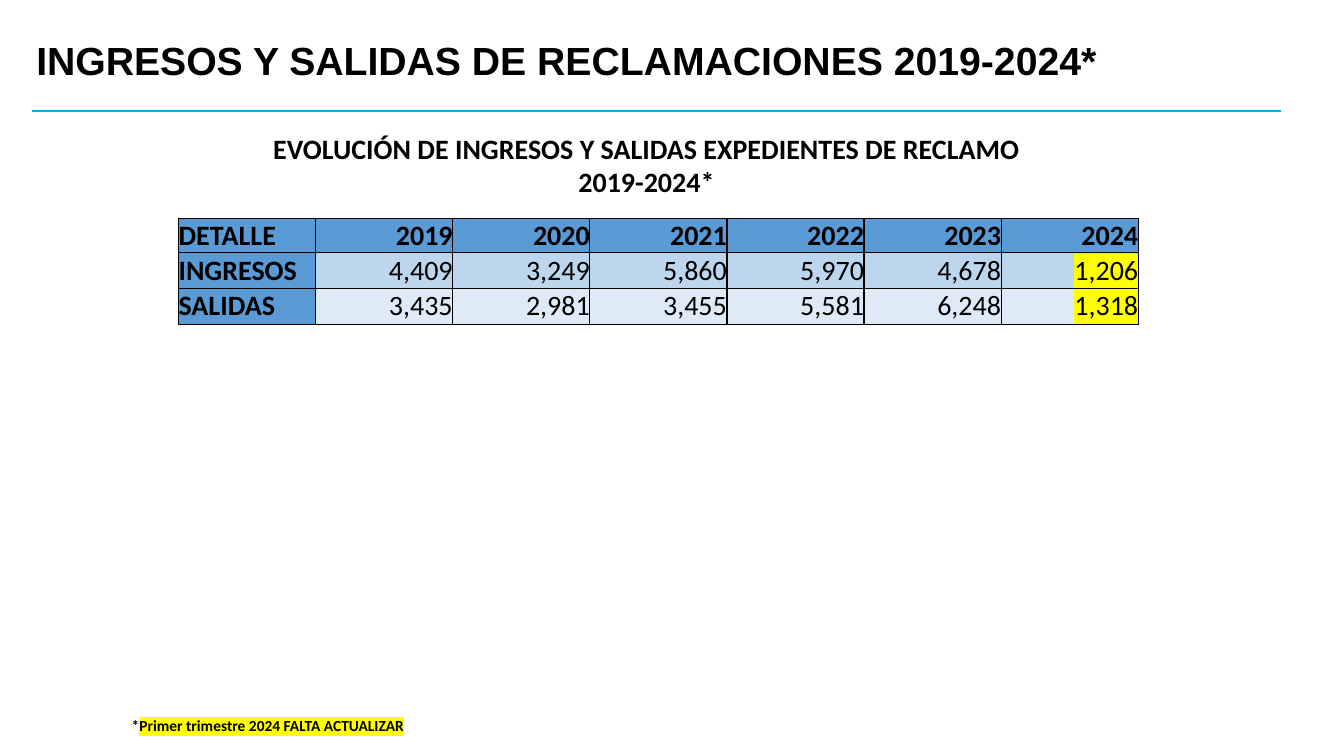
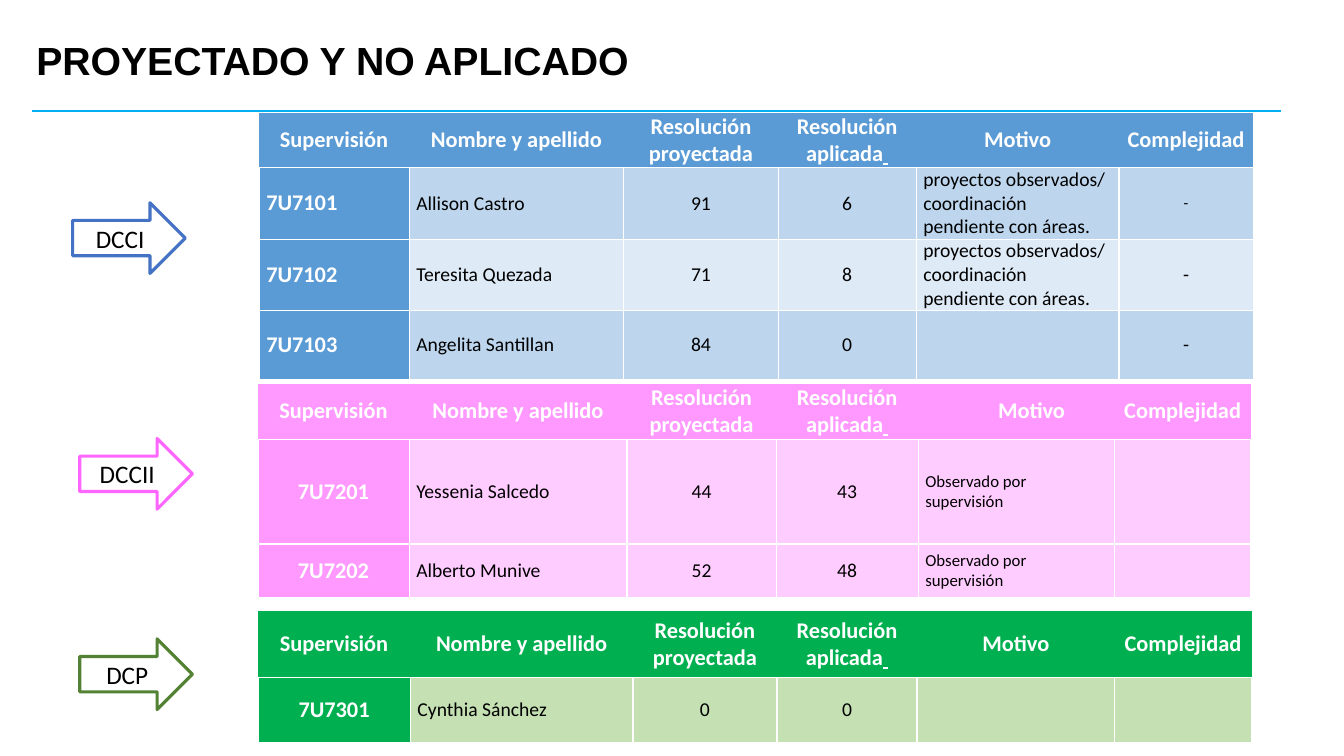
import dataclasses

import lxml.etree
import pptx
import pptx.dml.color
import pptx.enum.shapes
import pptx.enum.text
import pptx.oxml.ns
import pptx.util

Cm = pptx.util.Cm
Pt = pptx.util.Pt
Align = pptx.enum.text.PP_ALIGN
Anchor = pptx.enum.text.MSO_ANCHOR
qn = pptx.oxml.ns.qn
rgb = pptx.dml.color.RGBColor.from_string


@dataclasses.dataclass(frozen=True)
class Theme:
    black: str = "000000"
    white: str = "FFFFFF"
    rule: str = "00B0F0"
    marker: str = "FFFF00"
    blue: str = "5B9BD5"
    blue_stripes: tuple = ("BDD6EE", "DEEAF6")
    blue_arrow: str = "4472C4"
    pink: str = "FF99FF"
    pink_stripes: tuple = ("FFCCFF",)
    pink_arrow: str = "FF66FF"
    green: str = "00B050"
    green_stripes: tuple = ("C5E0B3",)
    green_arrow: str = "548235"
    title_font: str = "Arial"
    body_font: str = "Calibri"
    title_size: int = 28
    large: int = 20
    label: int = 18
    header: int = 16
    body: int = 14
    small: int = 12
    tiny: int = 11
    no_table_style: str = "{2D5ABB26-0587-4C30-8999-92F81FD0307C}"


theme = Theme()


def write_text(frame, text, size=theme.body, color=theme.black, font=theme.body_font,
               bold=False, underline=False, highlight=None, align=Align.LEFT):
    """Append one formatted span to the first paragraph of a text frame."""
    para = frame.paragraphs[0]
    para.alignment = align
    span = para.add_run()
    span.text = text
    span.font.size = Pt(size)
    span.font.bold = bold
    span.font.underline = underline
    span.font.color.rgb = rgb(color)
    if highlight:
        mark = lxml.etree.Element(qn("a:highlight"))
        lxml.etree.SubElement(mark, qn("a:srgbClr"), val=highlight)
        span.font._element.find(qn("a:solidFill")).addnext(mark)
    span.font.name = font


def add_grid(page, left, top, widths, heights, accent, stripes, border, margin=0, header_sides="LRTB"):
    """Add a bordered table whose first row and column carry the accent colour."""
    frame = page.shapes.add_table(len(heights), len(widths), Cm(left), Cm(top),
                                  Cm(sum(widths)), Cm(sum(heights)))
    table = frame.table
    table.horz_banding = False
    table._tbl.tblPr.find(qn("a:tableStyleId")).text = theme.no_table_style
    for column, width in zip(table.columns, widths):
        column.width = Cm(width)
    for row_index, (row, height) in enumerate(zip(table.rows, heights)):
        row.height = Cm(height)
        for column_index, cell in enumerate(row.cells):
            cell.margin_left = cell.margin_right = Cm(margin)
            cell.margin_top = cell.margin_bottom = 0
            cell.vertical_anchor = Anchor.MIDDLE
            for side in "LRTB" if row_index else header_sides:
                line = lxml.etree.SubElement(cell._tc.get_or_add_tcPr(), qn("a:ln" + side), w=str(Pt(1)))
                paint = lxml.etree.SubElement(line, qn("a:solidFill"))
                lxml.etree.SubElement(paint, qn("a:srgbClr"), val=border)
            is_heading = row_index == 0 or column_index == 0
            cell.fill.solid()
            cell.fill.fore_color.rgb = rgb(accent if is_heading else stripes[(row_index - 1) % len(stripes)])
    return table


deck = pptx.Presentation()
deck.slide_width = Cm(33.87)
deck.slide_height = Cm(19.05)

layout = deck.slide_layouts.get_by_name("Title Only")
layout_title = layout.placeholders[0]
layout_title.left, layout_title.top = Cm(0.66), Cm(0.69)
layout_title.width, layout_title.height = Cm(29.21), Cm(1.78)

# Title and rule on every page
pages = []
for heading in ("INGRESOS Y SALIDAS DE RECLAMACIONES 2019-2024*", "PROYECTADO Y NO APLICADO"):
    page = deck.slides.add_slide(layout)
    title = page.shapes.title.text_frame
    title.auto_size = pptx.enum.text.MSO_AUTO_SIZE.NONE
    title.vertical_anchor = Anchor.MIDDLE
    write_text(title, heading, size=theme.title_size, font=theme.title_font, bold=True)
    title.paragraphs[0].line_spacing = 0.9
    rule = page.shapes.add_connector(pptx.enum.shapes.MSO_CONNECTOR.STRAIGHT,
                                     Cm(0.81), Cm(2.79), Cm(32.28), Cm(2.79))
    rule.line.color.rgb = rgb(theme.rule)
    rule.line.width = Pt(1.5)
    lxml.etree.SubElement(rule._element.spPr, qn("a:effectLst"))
    pages.append(page)
evolution_page, projected_page = pages

# Evolution of claims
subtitle = evolution_page.shapes.add_textbox(Cm(5.79), Cm(3.18), Cm(21.01), Cm(1.96)).text_frame
subtitle.word_wrap = True
write_text(subtitle, "EVOLUCIÓN DE INGRESOS Y SALIDAS EXPEDIENTES DE RECLAMO 2019-2024*",
           size=theme.large, bold=True, align=Align.CENTER)

claims = (
    ("DETALLE", "2019", "2020", "2021", "2022", "2023", "2024"),
    ("INGRESOS", "4,409", "3,249", "5,860", "5,970", "4,678", "1,206"),
    ("SALIDAS", "3,435", "2,981", "3,455", "5,581", "6,248", "1,318"),
)
claims_table = add_grid(evolution_page, 4.5, 5.51, [3.455] * 7, (0.86, 0.9, 0.9),
                        theme.blue, theme.blue_stripes, theme.black)
for row_index, values in enumerate(claims):
    for column_index, value in enumerate(values):
        is_partial = row_index > 0 and column_index == len(values) - 1
        write_text(claims_table.cell(row_index, column_index).text_frame, value, size=theme.large,
                   bold=row_index == 0 or column_index == 0,
                   highlight=theme.marker if is_partial else None,
                   align=Align.RIGHT if column_index else Align.LEFT)

note = evolution_page.shapes.add_textbox(Cm(3.07), Cm(17.93), Cm(9.5), Cm(0.74)).text_frame
note.word_wrap = True
write_text(note, "*", size=theme.tiny, bold=True)
write_text(note, "Primer trimestre 2024 FALTA ACTUALIZAR", size=theme.tiny, bold=True, highlight=theme.marker)

# Projected and applied resolutions, one table and arrow per division
headers = ("Supervisión", "Nombre y apellido", "Resolución proyectada",
           "Resolución aplicada", "Motivo", "Complejidad")
REASON, COMPLEXITY = 4, 5
pending = "proyectos observados/ coordinación pendiente con áreas."
observed = "Observado por supervisión"
divisions = (
    dict(name="DCCI", arrow=(1.83, 5.11), arrow_color=theme.blue_arrow,
         accent=theme.blue, stripes=theme.blue_stripes, code_align=Align.LEFT,
         reason_size=theme.body, reason_indent=0, corner=(6.53, 2.84),
         widths=(3.78, 5.41, 3.89, 3.48, 5.11, 3.38), heights=(1.19, 1.57, 1.57, 1.73),
         rows=(("7U7101", "Allison Castro", "91", "6", pending, "-"),
               ("7U7102", "Teresita Quezada", "71", "8", pending, "-"),
               ("7U7103", "Angelita Santillan", "84", "0", "", "-"))),
    dict(name="DCCII", arrow=(2.01, 11.05), arrow_color=theme.pink_arrow,
         accent=theme.pink, stripes=theme.pink_stripes, code_align=Align.CENTER,
         reason_size=theme.small, reason_indent=0.76, corner=(6.5, 9.65),
         widths=(3.81, 5.49, 3.76, 3.58, 4.95, 3.43), heights=(1.42, 2.64, 1.35),
         rows=(("7U7201", "Yessenia Salcedo", "44", "43", observed, ""),
               ("7U7202", "Alberto Munive", "52", "48", observed, ""))),
    dict(name="DCP", arrow=(2.01, 16.1), arrow_color=theme.green_arrow,
         accent=theme.green, stripes=theme.green_stripes, code_align=Align.CENTER,
         reason_size=theme.body, reason_indent=0, corner=(6.5, 15.39),
         widths=(3.84, 5.61, 3.63, 3.53, 4.98, 3.45), heights=(1.68, 1.63),
         rows=(("7U7301", "Cynthia Sánchez", "0", "0", "", ""),)),
)
cell_margin = 0.18
heading_format = dict(size=theme.header, color=theme.white, bold=True)

for division in divisions:
    arrow_left, arrow_top = division["arrow"]
    arrow = projected_page.shapes.add_shape(pptx.enum.shapes.MSO_SHAPE.RIGHT_ARROW,
                                            Cm(arrow_left), Cm(arrow_top), Cm(2.84), Cm(1.78))
    arrow.shadow.inherit = False
    arrow.fill.solid()
    arrow.fill.fore_color.rgb = rgb(theme.white)
    arrow.line.color.rgb = rgb(division["arrow_color"])
    arrow.line.width = Pt(2.25)
    write_text(arrow.text_frame, division["name"], size=theme.label, align=Align.CENTER)

    table = add_grid(projected_page, *division["corner"], division["widths"], division["heights"],
                     division["accent"], division["stripes"], theme.white,
                     margin=cell_margin, header_sides="TB")
    for column_index, header in enumerate(headers):
        cell = table.cell(0, column_index)
        if column_index == REASON:
            cell.margin_left = Cm(cell_margin + division["reason_indent"])
        if header == "Resolución aplicada":
            spans = (("Resolución", False), (" ", True), ("aplicada", False), (" ", True))
        else:
            spans = ((header, False),)
        for text, underline in spans:
            write_text(cell.text_frame, text, underline=underline, align=Align.CENTER, **heading_format)

    formats = [dict(align=Align.CENTER) for header in headers]
    formats[0] = dict(align=division["code_align"], **heading_format)
    formats[1] = dict(align=Align.LEFT)
    formats[REASON] = dict(align=Align.LEFT, size=division["reason_size"])
    for row_index, values in enumerate(division["rows"], start=1):
        for column_index, (value, text_format) in enumerate(zip(values, formats)):
            if values[0] == "7U7101" and column_index == COMPLEXITY:
                text_format = dict(text_format, size=theme.tiny)
            if value:
                write_text(table.cell(row_index, column_index).text_frame, value, **text_format)

deck.save("out.pptx")
